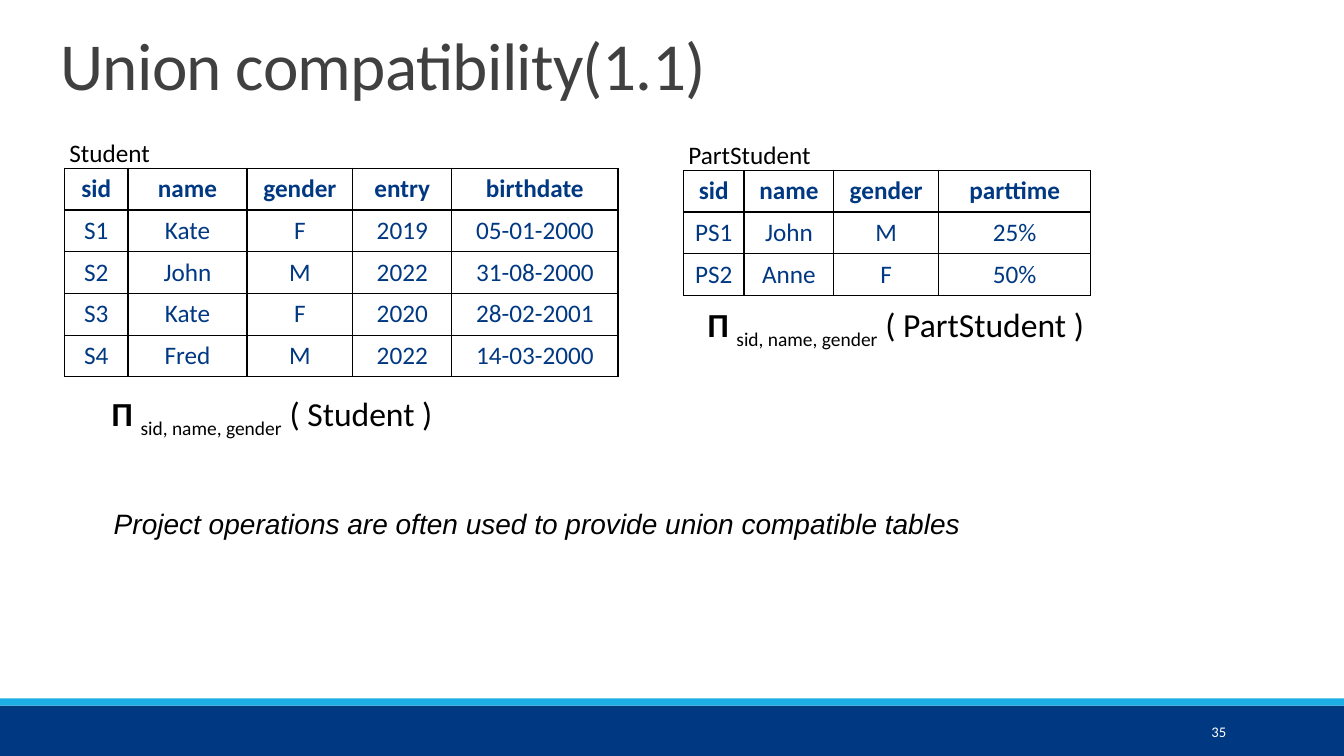
from lxml.etree import SubElement
from pptx import Presentation
from pptx.dml.color import RGBColor
from pptx.enum.shapes import MSO_SHAPE
from pptx.enum.text import MSO_ANCHOR, PP_ALIGN
from pptx.oxml.ns import qn
from pptx.util import Inches, Pt

NAVY = RGBColor(0x00, 0x38, 0x82)
SKY = RGBColor(0x1C, 0xAD, 0xE4)
CHARCOAL = RGBColor(0x40, 0x40, 0x40)
BLACK = RGBColor(0x00, 0x00, 0x00)
WHITE = RGBColor(0xFF, 0xFF, 0xFF)

STUDENT_COLUMNS = [0.63, 1.18, 1.05, 0.98, 1.65]
STUDENT_ROWS = [
    ["sid", "name", "gender", "entry", "birthdate"],
    ["S1", "Kate", "F", "2019", "05-01-2000"],
    ["S2", "John", "M", "2022", "31-08-2000"],
    ["S3", "Kate", "F", "2020", "28-02-2001"],
    ["S4", "Fred", "M", "2022", "14-03-2000"],
]
PART_STUDENT_COLUMNS = [0.6, 0.89, 1.04, 1.51]
PART_STUDENT_ROWS = [
    ["sid", "name", "gender", "parttime"],
    ["PS1", "John", "M", "25%"],
    ["PS2", "Anne", "F", "50%"],
]


def style_font(font, size, color, name="Calibri"):
    """Set the size, colour and typeface of a font."""
    font.size = Pt(size)
    font.name = name
    font.color.rgb = color


def add_text(slide, box, text, size, color, name="Calibri", wrap=True):
    """Add a one-paragraph text box and return its paragraph."""
    frame = slide.shapes.add_textbox(*map(Inches, box)).text_frame
    frame.word_wrap = wrap
    paragraph = frame.paragraphs[0]
    if text:
        paragraph.add_run().text = text
    style_font(paragraph.font, size, color, name)
    return paragraph


def add_title(slide, box, text):
    """Add the slightly condensed slide title."""
    paragraph = add_text(slide, box, text, 48, CHARCOAL)
    paragraph.line_spacing = 0.85
    paragraph.runs[0].font._element.set("spc", "-50")


def add_footer(slide, box, number):
    """Add the navy footer with its sky stripe and slide number."""
    left, top, width, height = box
    stripe = 0.07
    for color, y, tall in [(NAVY, top + stripe, height - stripe), (SKY, top, stripe)]:
        band = slide.shapes.add_shape(
            MSO_SHAPE.RECTANGLE, *map(Inches, (left, y, width, tall)))
        band.shadow.inherit = False
        band.fill.solid()
        band.fill.fore_color.rgb = color
        band.line.fill.background()
    number_box = (left + width - 2.5, top + 0.13, 1.43, 0.4)
    paragraph = add_text(slide, number_box, number, 10.5, WHITE)
    paragraph.alignment = PP_ALIGN.RIGHT
    slide.shapes[-1].text_frame.vertical_anchor = MSO_ANCHOR.MIDDLE


def style_cell(cell, text, bold):
    """Fill a cell with centred navy text and a thin black border."""
    cell.text = text
    cell.vertical_anchor = MSO_ANCHOR.MIDDLE
    paragraph = cell.text_frame.paragraphs[0]
    paragraph.alignment = PP_ALIGN.CENTER
    style_font(paragraph.font, 18, NAVY)
    paragraph.font.bold = bold
    properties = cell._tc.get_or_add_tcPr()
    for side in ("a:lnL", "a:lnR", "a:lnT", "a:lnB"):
        line = SubElement(properties, qn(side), w=str(Pt(1)))
        fill = SubElement(line, qn("a:solidFill"))
        SubElement(fill, qn("a:srgbClr"), val=str(BLACK))
    cell.fill.background()


def add_relation(slide, box, name, columns, rows):
    """Add a named relation, its label sitting just above the table."""
    left, top, width, height = box
    frame = slide.shapes.add_table(
        len(rows), len(columns), *map(Inches, box))
    table = frame.table
    for column, column_width in zip(table.columns, columns):
        column.width = Inches(column_width)
    for index, values in enumerate(rows):
        table.rows[index].height = Inches(height / len(rows))
        for cell, value in zip(table.rows[index].cells, values):
            style_cell(cell, value, index == 0)
    label_box = (left - 0.05, top - 0.36, 1.43, 0.4)
    add_text(slide, label_box, name, 18, BLACK, wrap=False)


def add_projection(slide, box, relation):
    """Add a projection expression with subscript attributes."""
    paragraph = add_text(slide, box, "", 24, BLACK, wrap=False)
    operator, attributes, operand = [paragraph.add_run() for _ in range(3)]
    operator.text = "Π "
    operator.font.bold = True
    attributes.text = "sid, name, gender"
    attributes.font._element.set("baseline", "-25000")
    operand.text = f" ( {relation} )"


def add_remark(slide, box, text):
    """Add the indented closing remark in italics."""
    paragraph = add_text(slide, box, text, 20, BLACK, "Arial")
    paragraph.font.italic = True
    paragraph.line_spacing = 1.1
    properties = paragraph._p.get_or_add_pPr()
    properties.set("marL", str(Inches(0.2)))
    properties.set("indent", "0")


def main():
    """Build the union compatibility slide and save it."""
    presentation = Presentation()
    presentation.slide_width = Inches(13.33)
    presentation.slide_height = Inches(7.5)
    slide = presentation.slides.add_slide(presentation.slide_layouts[6])
    add_footer(slide, (0, 6.93, 13.33, 0.57), "35")
    add_title(slide, (0.5, 0.3, 10.1, 1.25), "Union compatibility(1.1)")
    add_relation(slide, (0.64, 1.67, 5.5, 2.07), "Student",
                 STUDENT_COLUMNS, STUDENT_ROWS)
    add_relation(slide, (6.78, 1.69, 4.05, 1.24), "PartStudent",
                 PART_STUDENT_COLUMNS, PART_STUDENT_ROWS)
    add_projection(slide, (1.01, 3.85, 3.74, 0.5), "Student")
    add_projection(slide, (6.92, 2.97, 4.3, 0.5), "PartStudent")
    add_remark(slide, (0.83, 4.94, 9.27, 0.44),
               "Project operations are often used to provide union compatible tables")
    presentation.save("out.pptx")


if __name__ == "__main__":
    main()
